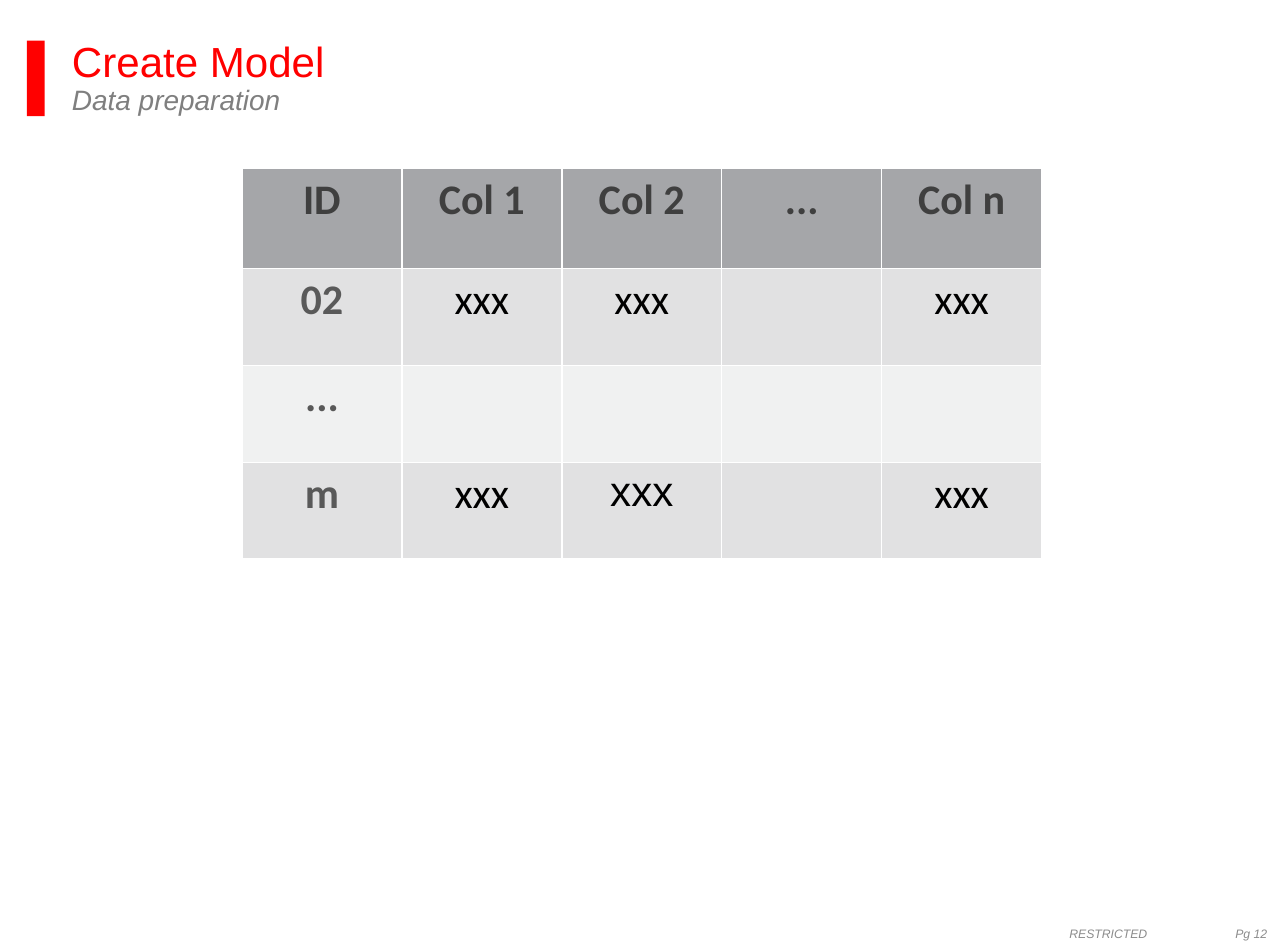
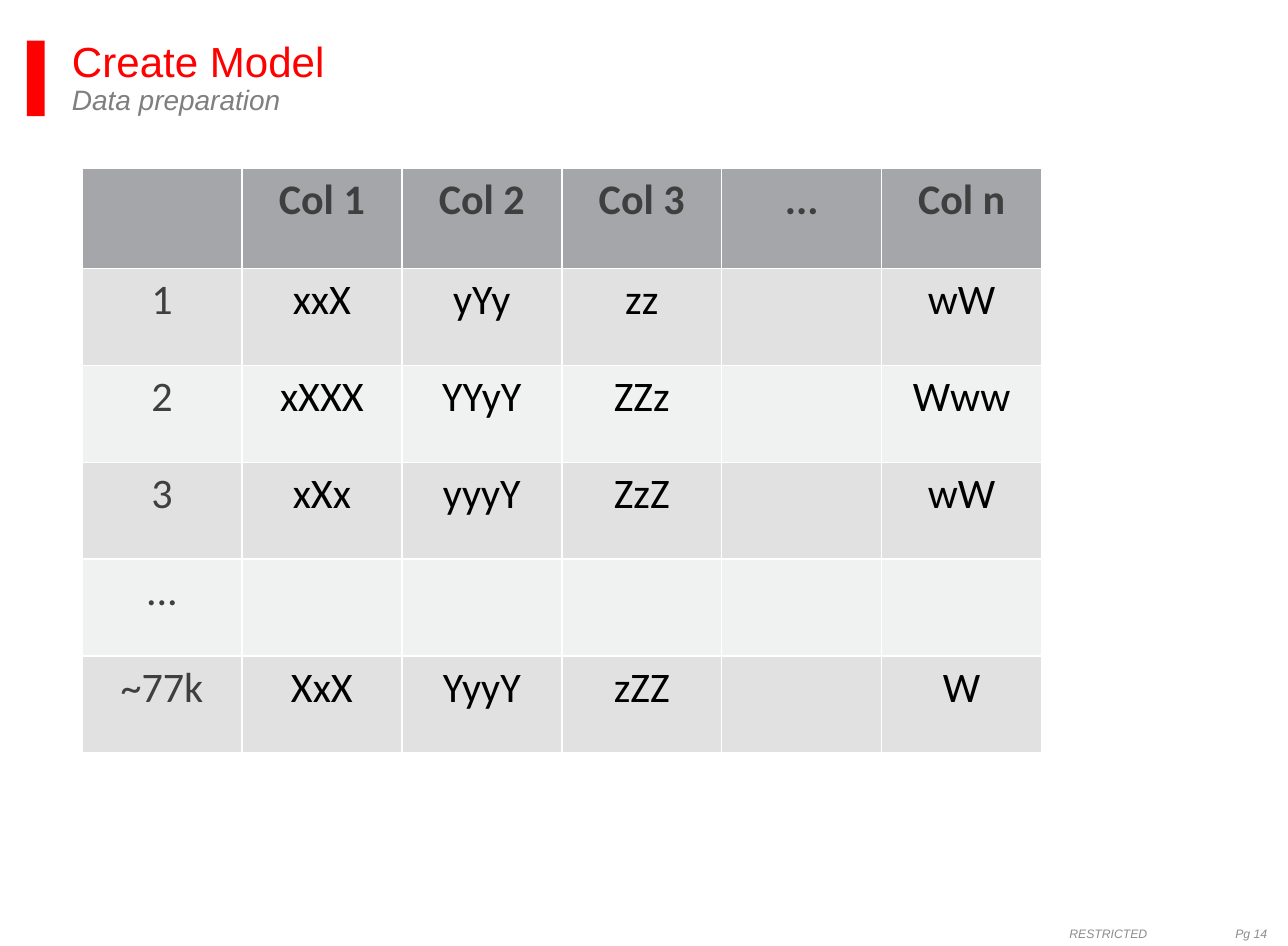
from pptx import Presentation
from pptx.dml.color import RGBColor
from pptx.enum import shapes, text
from pptx.oxml import parse_xml
from pptx.oxml.ns import nsdecls
from pptx.util import Cm, Pt

RED = RGBColor(0xFF, 0x00, 0x00)
SUBTITLE_GREY = RGBColor(0x7F, 0x7F, 0x7F)
FOOTER_GREY = RGBColor(0x8C, 0x8C, 0x8C)
HEADER_FILL = RGBColor(0xA5, 0xA6, 0xA9)
BAND_FILLS = (RGBColor(0xF0, 0xF1, 0xF1), RGBColor(0xE1, 0xE1, 0xE2))
WHITE = RGBColor(0xFF, 0xFF, 0xFF)
BLACK = RGBColor(0x00, 0x00, 0x00)
HEADER_TEXT = RGBColor(0x3F, 0x3F, 0x3F)
ID_TEXT = RGBColor(0x59, 0x59, 0x59)

HEADING_FONT, TABLE_FONT = "Arial", "Calibri"
GRID_SIZE = 7
COLUMN_WIDTH = Cm(3.22)
HEADER_HEIGHT, ROW_HEIGHT = Cm(2.03), Cm(1.95)

TITLE_BOX = (Cm(1.45), Cm(0.82), Cm(24.13), Cm(1.9))
FOOTER_BOX = (Cm(19.43), Cm(18.29), Cm(8.2), Cm(1.02))
TABLE_CORNER = (Cm(1.65), Cm(3.38))

RECORDS = [
    ["ID", "Col 1", "Col 2", "...", "Col n"],
    ["02", "xxx", "xxx", "", "xxx"],
    ["...", "", "", "", ""],
    ["m", "xxx", "xxx", "", "xxx"],
]
SAMPLES = [
    ["", "Col 1", "Col 2", "Col 3", "...", "Col n"],
    ["1", "xxX", "yYy", "zz", "", "wW"],
    ["2", "xXXX", "YYyY", "ZZz", "", "Www"],
    ["3", "xXx", "yyyY", "ZzZ", "", "wW"],
    ["...", "", "", "", "", ""],
    ["~77k", "XxX", "YyyY", "zZZ", "", "W"],
]


def style_font(font, name, size, color, bold=False, italic=False):
    """Set the look of a paragraph's or run's font."""
    font.name, font.size = name, Pt(size)
    font.bold, font.italic = bold, italic
    font.color.rgb = color


def add_title(page, box):
    """Place the red marker, the title and the subtitle."""
    left, top, width, height = box
    marker = page.shapes.add_shape(
        shapes.MSO_SHAPE.RECTANGLE, left - Cm(0.91), top, Cm(0.36), Cm(1.52))
    marker.shadow.inherit = False
    marker.fill.solid()
    marker.fill.fore_color.rgb = RED
    marker.line.fill.background()

    frame = page.shapes.add_textbox(left, top, width, height).text_frame
    frame.word_wrap = True
    frame.margin_left = frame.margin_top = frame.margin_right = 0
    frame.margin_bottom = Cm(0.05)
    para = frame.paragraphs[0]
    para.line_spacing = 0.9
    title = para.add_run()
    title.text = "Create Model"
    style_font(title.font, HEADING_FONT, 24, RED)
    para.add_line_break()
    subtitle = para.add_run()
    subtitle.text = "Data preparation"
    style_font(subtitle.font, HEADING_FONT, 16, SUBTITLE_GREY, italic=True)


def add_footer(page, box, number):
    """Place the classification and, at a tab stop, the page number."""
    frame = page.shapes.add_textbox(*box).text_frame
    frame.word_wrap = True
    frame.margin_left = Cm(2.1)
    frame.vertical_anchor = text.MSO_ANCHOR.MIDDLE
    para = frame.paragraphs[0]
    para.text = f"RESTRICTED\tPg {number}"
    style_font(para.font, HEADING_FONT, 7, FOOTER_GREY, italic=True)
    tabs = parse_xml(f'<a:tabLst {nsdecls("a")}>'
                     f'<a:tab pos="{Cm(3.34)}" algn="l"/></a:tabLst>')
    para.font._element.addprevious(tabs)


def write_cell(cell, words, color, bold):
    """Centre the words in a table cell."""
    para = cell.text_frame.paragraphs[0]
    para.text = words
    para.alignment = text.PP_ALIGN.CENTER
    style_font(para.font, TABLE_FONT, 24, color, bold)


def add_grid(page, corner, rows, first_column, key_color, key_bold):
    """Place a square table whose filled part starts at first_column."""
    table = page.shapes.add_table(
        GRID_SIZE, GRID_SIZE, *corner, COLUMN_WIDTH * GRID_SIZE,
        HEADER_HEIGHT + ROW_HEIGHT * (GRID_SIZE - 1)).table
    for column in table.columns:
        column.width = COLUMN_WIDTH
    for index, row in enumerate(table.rows):
        row.height = ROW_HEIGHT if index else HEADER_HEIGHT
    for cell in table.iter_cells():
        cell.fill.solid()
        cell.fill.fore_color.rgb = WHITE

    for r, row in enumerate(rows):
        for c, words in enumerate(row):
            cell = table.cell(r, first_column + c)
            cell.fill.fore_color.rgb = BAND_FILLS[r % 2] if r else HEADER_FILL
            if not words:
                continue
            if r == 0:
                write_cell(cell, words, HEADER_TEXT, True)
            elif c == 0:
                write_cell(cell, words, key_color, key_bold)
            else:
                write_cell(cell, words, BLACK, False)
    return table


def add_page(deck, number):
    """Add a page with the shared title and footer."""
    page = deck.slides.add_slide(deck.slide_layouts[6])
    add_title(page, TITLE_BOX)
    add_footer(page, FOOTER_BOX, number)
    return page


def build_records(deck):
    """Build the page with the table of records by ID."""
    page = add_page(deck, 12)
    table = add_grid(page, TABLE_CORNER, RECORDS, 1, ID_TEXT, True)
    table.cell(3, 3).text_frame.paragraphs[0].font.name = HEADING_FONT


def build_samples(deck):
    """Build the page with the table of numbered samples."""
    page = add_page(deck, 14)
    add_grid(page, TABLE_CORNER, SAMPLES, 0, HEADER_TEXT, False)


deck = Presentation()
deck.slide_width, deck.slide_height = Cm(25.93), Cm(19.05)
build_records(deck)
build_samples(deck)
deck.save("out.pptx")
